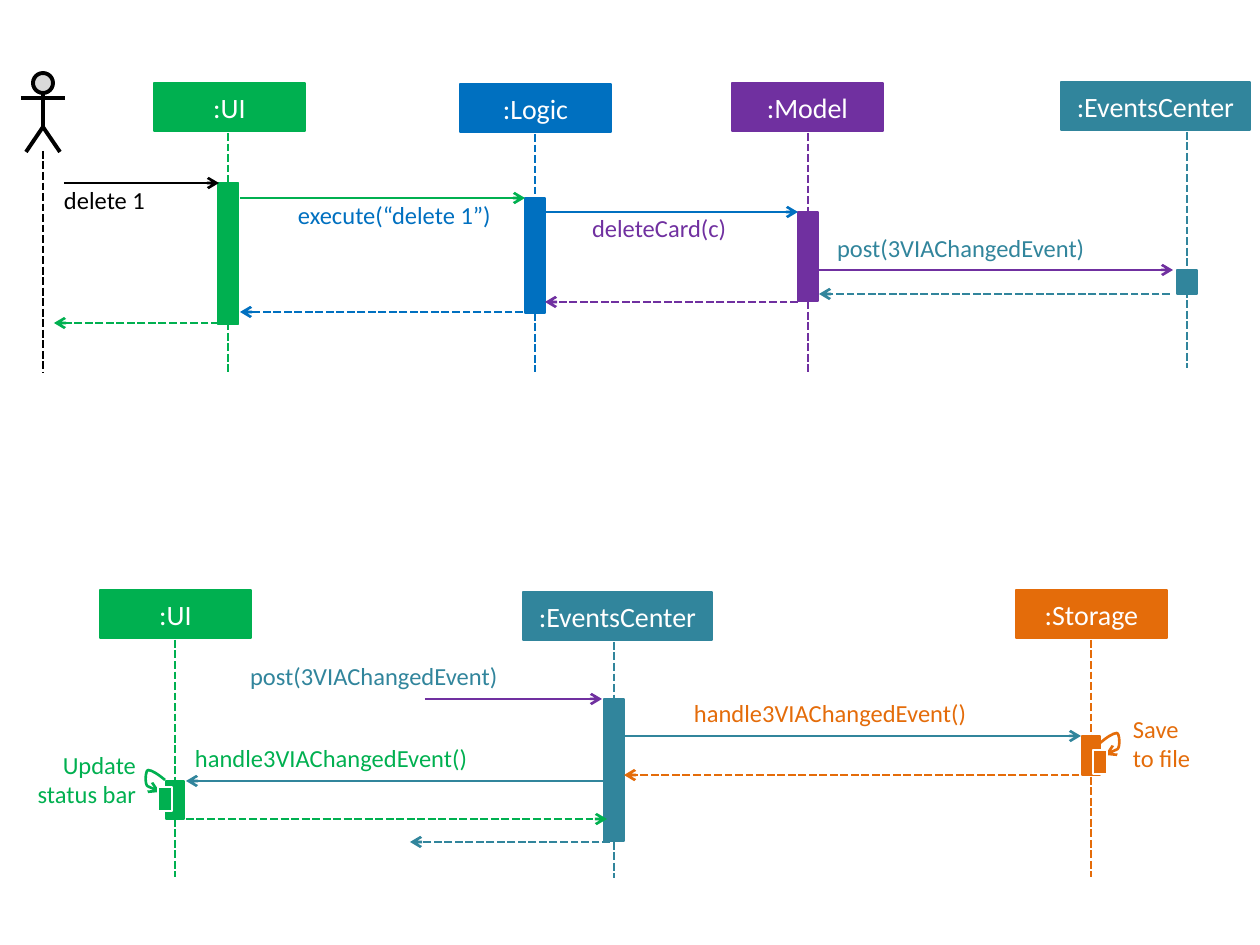
from lxml import etree
from pptx import Presentation
from pptx import util as u
from pptx.dml.color import RGBColor
from pptx.enum import dml, shapes, text
from pptx.oxml.ns import qn

SCALE = u.Inches(1) / 126
GREEN = RGBColor(0x00, 0xB0, 0x50)
BLUE = RGBColor(0x00, 0x70, 0xC0)
PURPLE = RGBColor(0x70, 0x30, 0xA0)
TEAL = RGBColor(0x31, 0x85, 0x9C)
ORANGE = RGBColor(0xE4, 0x6C, 0x0A)
GREY = RGBColor(0xD9, 0xD9, 0xD9)
BLACK = RGBColor(0, 0, 0)
WHITE = RGBColor(255, 255, 255)
KIND = shapes.MSO_SHAPE

# Start and Bezier points of a self-call, from the nested bar's top centre
LOOP = [(5, 5), (12, 2), (18, 0), (19, -4), (20, -8), (19, -17),
        (17, -17), (13, -17), (6, -12), (0, -7)]

# Name, box left, top, width, colour, lifeline x, lifeline end, bar top, height, width
PARTICIPANTS = [
    (":UI", 154, 83, 151, GREEN, 228, 372, 183, 141, 21),
    (":Logic", 460, 84, 151, BLUE, 535, 372, 198, 115, 20),
    (":Model", 732, 83, 151, PURPLE, 808, 372, 212, 89, 20),
    (":EventsCenter", 1061, 82, 189, TEAL, 1187, 368, 270, 24, 20),
    (":UI", 100, 590, 151, GREEN, 175, 877, 781, 38, 18),
    (":EventsCenter", 523, 592, 189, TEAL, 614, 878, 699, 142, 20),
    (":Storage", 1016, 590, 151, ORANGE, 1091, 877, 736, 39, 18),
]

# Start x, end x, y, colour
CALLS = [
    (64, 219, 183, BLACK), (240, 525, 198, GREEN), (545, 798, 212, BLUE),
    (819, 1173, 270, PURPLE), (425, 602, 699, PURPLE),
    (624, 1081, 736, TEAL), (607, 186, 781, TEAL),
]
REPLIES = [
    (798, 545, 302, PURPLE), (523, 240, 312, BLUE), (219, 54, 323, GREEN),
    (1170, 819, 294, TEAL), (1090, 624, 775, ORANGE),
    (186, 607, 819, GREEN), (610, 410, 842, TEAL),
]

# Text, left, top, width, colour
LABELS = [
    ("delete 1", 64, 185, 118, BLACK),
    ("execute(“delete 1”)", 298, 200, 197, BLUE),
    ("deleteCard(c)", 592, 213, 197, PURPLE),
    ("post(3VIAChangedEvent)", 837, 233, 336, TEAL),
    ("post(3VIAChangedEvent)", 250, 661, 374, TEAL),
    ("handle3VIAChangedEvent()", 694, 698, 367, ORANGE),
    ("handle3VIAChangedEvent()", 195, 743, 367, GREEN),
    ("Save\vto file", 1133, 714, 74, ORANGE),
]


def px(value):
    """Turn pixels into EMU."""
    return u.Emu(round(value * SCALE))


def add_arrow(line, end):
    """Put an open arrowhead on headEnd or tailEnd of a line."""
    etree.SubElement(line._get_or_add_ln(), qn("a:" + end), type="arrow")


def write(frame, words, *, size, colour, align):
    """Fill a text frame with one formatted paragraph."""
    frame.word_wrap = True
    frame.text = words
    para = frame.paragraphs[0]
    para.alignment = align
    for span in para.runs:
        span.font.name = "Calibri"
        span.font.size = u.Pt(size)
        span.font.color.rgb = colour


def add_block(parent, left, top, width, height, fill, *, line=None, weight=0.75,
              kind=KIND.RECTANGLE):
    """Add a filled, outlined shape without a shadow."""
    block = parent.add_shape(kind, px(left), px(top), px(width), px(height))
    block.shadow.inherit = False
    block.fill.solid()
    block.fill.fore_color.rgb = fill
    block.line.color.rgb = fill if line is None else line
    block.line.width = u.Pt(weight)
    return block


def add_line(parent, start, end, colour, *, weight=1.5, dashed=False, arrow=False):
    """Add a straight line, optionally dashed or with an arrow at its end."""
    link = parent.add_connector(shapes.MSO_CONNECTOR.STRAIGHT,
                                *map(px, start + end))
    link.line.color.rgb = colour
    link.line.width = u.Pt(weight)
    if dashed:
        link.line.dash_style = dml.MSO_LINE.SQUARE_DOT
    if arrow:
        add_arrow(link.line, "tailEnd")
    etree.SubElement(link._element.spPr, qn("a:effectLst"))


def add_path(parent, points, colour, *, weight):
    """Add an open, unfilled outline through the points."""
    builder = parent.build_freeform(*points[0], scale=SCALE)
    builder.add_line_segments(points[1:], close=False)
    outline = builder.convert_to_shape()
    outline.shadow.inherit = False
    outline.fill.background()
    outline.line.color.rgb = colour
    outline.line.width = u.Pt(weight)
    return outline


def bend(outline):
    """Join each three line segments of an outline into one Bezier curve."""
    segments = list(outline._element.iter(qn("a:lnTo")))
    for first in range(0, len(segments), 3):
        curve = etree.Element(qn("a:cubicBezTo"))
        segments[first].addprevious(curve)
        for segment in segments[first:first + 3]:
            curve.append(segment[0])
            segment.getparent().remove(segment)


def add_label(page, words, left, top, width, colour, align=text.PP_ALIGN.LEFT):
    """Add a message label without margins."""
    box = page.shapes.add_textbox(px(left), px(top), px(width), px(30))
    frame = box.text_frame
    frame.margin_left = frame.margin_right = frame.margin_top = frame.margin_bottom = 0
    write(frame, words, size=14, colour=colour, align=align)
    frame.auto_size = text.MSO_AUTO_SIZE.SHAPE_TO_FIT_TEXT


def add_participant(page, name, left, top, width, colour, life, end,
                    bar_top, bar_height, bar_width):
    """Add a named box with its lifeline and activation bar."""
    box = add_block(page.shapes, left, top, width, 48, colour, weight=1.5)
    box.text_frame.vertical_anchor = text.MSO_ANCHOR.MIDDLE
    write(box.text_frame, name, size=16, colour=WHITE, align=text.PP_ALIGN.CENTER)
    add_line(page.shapes, (life, top + 50), (life, end), colour, dashed=True)
    add_block(page.shapes, life - bar_width / 2, bar_top, bar_width, bar_height, colour)


def add_actor(page, centre, top):
    """Add a stick figure with its lifeline."""
    figure = page.shapes.add_group_shape().shapes
    add_block(figure, centre - 10, top, 20, 20, GREY, line=BLACK, weight=2.25,
              kind=KIND.FLOWCHART_CONNECTOR)
    add_line(figure, (centre, top + 20), (centre, top + 55), BLACK, weight=2.25)
    add_line(figure, (centre - 22, top + 25), (centre + 22, top + 25), BLACK, weight=2.25)
    legs = [(centre - 17, top + 79), (centre, top + 54), (centre + 17, top + 79)]
    add_path(figure, legs, BLACK, weight=2.25)
    add_line(page.shapes, (centre, top + 78), (centre, 372), BLACK, dashed=True)


def add_self_call(page, centre, top, side, colour):
    """Add a nested bar with a curved arrow; side is 1 for right, -1 for left."""
    group = page.shapes.add_group_shape().shapes
    points = [(centre + side * across, top + down) for across, down in LOOP]
    loop = add_path(group, points, colour, weight=1.5)
    bend(loop)
    add_arrow(loop.line, "headEnd")
    add_block(group, centre - 7, top, 14, 24, colour, line=WHITE)


def main():
    """Build the two sequence diagrams."""
    deck = Presentation()
    deck.slide_width, deck.slide_height = u.Inches(10), u.Inches(7.5)
    page = deck.slides.add_slide(deck.slide_layouts[6])
    add_actor(page, 43, 73)
    for participant in PARTICIPANTS:
        add_participant(page, *participant)
    for messages, dashed in ((CALLS, False), (REPLIES, True)):
        for start, end, y, colour in messages:
            add_line(page.shapes, (start, y), (end, y), colour, dashed=dashed, arrow=True)
    for label in LABELS:
        add_label(page, *label)
    add_label(page, "Update status bar", 26, 750, 110, GREEN, text.PP_ALIGN.RIGHT)
    add_self_call(page, 165, 787, -1, GREEN)
    add_self_call(page, 1100, 750, 1, ORANGE)
    deck.save("out.pptx")


main()
